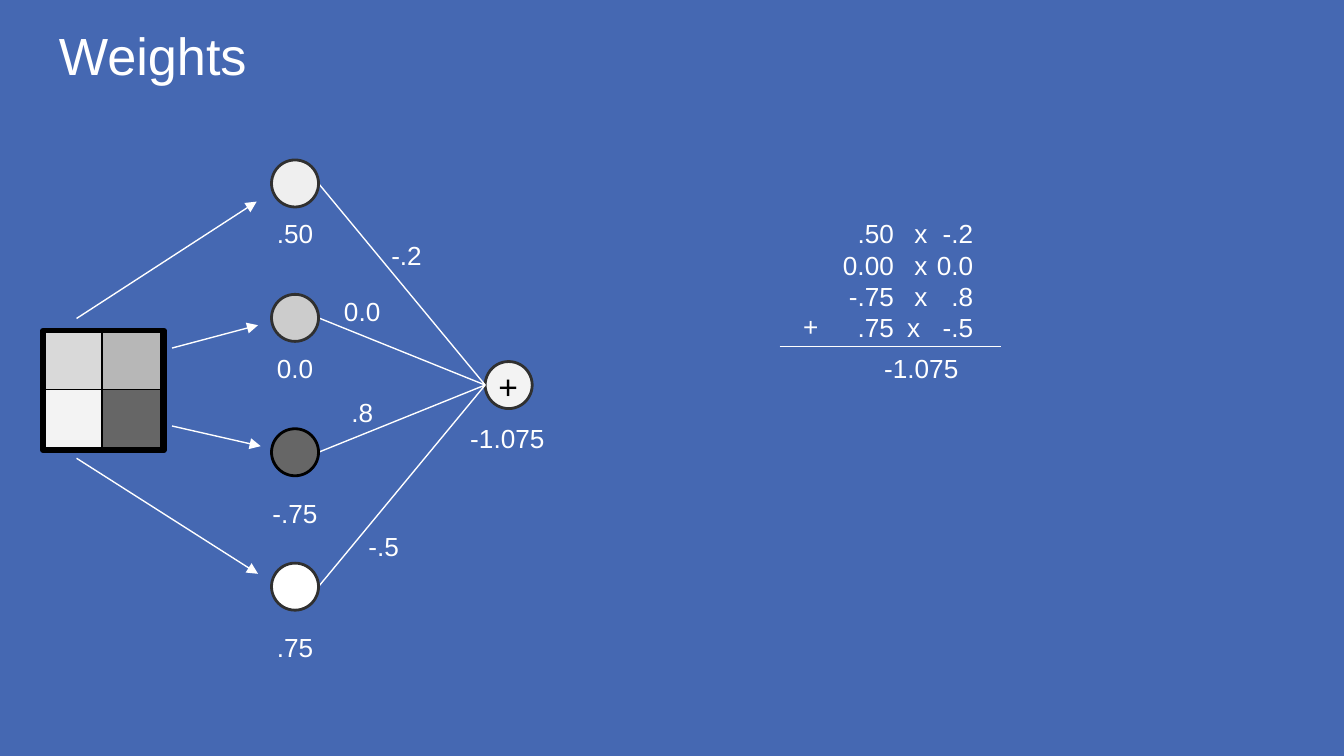
from lxml.etree import SubElement
from pptx import Presentation
from pptx.dml.color import RGBColor
from pptx.enum.shapes import MSO_CONNECTOR, MSO_SHAPE
from pptx.enum.text import PP_ALIGN
from pptx.oxml.ns import qn
from pptx.util import Inches, Pt

COLORS = {
    "background": "4568B2", "white": "FFFFFF", "black": "000000",
    "outline": "303030", "sum": "F3F3F3",
}
PIXELS = [["D9D9D9", "B7B7B7"], ["F3F3F3", "666666"]]
NODES = [
    ("EFEFEF", "outline", ".50", 1.52),
    ("CCCCCC", "outline", "0.0", 2.52),
    ("666666", "black", "-.75", 3.6),
    ("FFFFFF", "outline", ".75", 4.6),
]
WEIGHTS = [
    ("-.2", 2.63, 1.68), ("0.0", 2.3, 2.1), (".8", 2.3, 2.85), ("-.5", 2.46, 3.85),
]
ARROWS = [
    ((0.57, 2.37), (1.91, 1.5)), ((1.28, 2.59), (1.92, 2.42)),
    ((1.28, 3.17), (1.94, 3.32)), ((0.57, 3.41), (1.92, 4.27)),
]
TOTAL = "-1.075"
COLUMNS = [
    (5.52, [".50", "0.00", "-.75", " .75"]),
    (6.11, ["-.2", "0.0", ".8", "-.5"]),
    (5.77, ["x", "x", "x", "x "]),
]
GRID_LEFT, GRID_TOP, PIXEL = 0.32, 2.46, 0.44
NODE_LEFT, NODE_TOP, NODE_STEP, DIAMETER = 2.02, 1.19, 1.0, 0.35
SUM_LEFT, SUM_TOP = 3.61, 2.69
LABEL_WIDTH, LABEL_HEIGHT = 0.79, 0.49
COLUMN_WIDTH, COLUMN_TOP = 1.23, 1.52


def color(name):
    return RGBColor.from_string(COLORS.get(name, name))


def add_figure(page, kind, left, top, width, height, fill, line, weight):
    shape = page.shapes.add_shape(
        kind, Inches(left), Inches(top), Inches(width), Inches(height))
    shape.shadow.inherit = False
    if fill:
        shape.fill.solid()
        shape.fill.fore_color.rgb = color(fill)
    else:
        shape.fill.background()
    shape.line.color.rgb = color(line)
    shape.line.width = Pt(weight)


def add_line(page, start, end, arrow=False):
    line = page.shapes.add_connector(
        MSO_CONNECTOR.STRAIGHT, *[Inches(value) for value in start + end])
    line.line.color.rgb = color("white")
    line.line.width = Pt(0.75)
    if arrow:
        SubElement(line.line._get_or_add_ln(), qn("a:tailEnd"), type="triangle")
    SubElement(line._element.spPr, qn("a:effectLst"))


def add_text(page, lines, left, top, width=LABEL_WIDTH, height=LABEL_HEIGHT,
             size=14, ink="white", align=PP_ALIGN.CENTER):
    box = page.shapes.add_textbox(
        Inches(left), Inches(top), Inches(width), Inches(height))
    frame = box.text_frame
    frame.word_wrap = True
    frame.margin_left = frame.margin_right = Inches(0.1)
    frame.margin_top = frame.margin_bottom = Inches(0.1)
    frame.text = "\n".join(lines)
    for paragraph in frame.paragraphs:
        paragraph.alignment = align
        for span in paragraph.runs:
            span.font.name = "Arial"
            span.font.size = Pt(size)
            span.font.color.rgb = color(ink)
    return box


def add_plus_bullet(paragraph):
    properties = paragraph._p.get_or_add_pPr()
    properties.set("marL", str(Inches(0.5)))
    properties.set("indent", str(-Inches(0.35)))
    bullet_color = SubElement(properties, qn("a:buClr"))
    SubElement(bullet_color, qn("a:srgbClr"), val=COLORS["white"])
    SubElement(properties, qn("a:buSzPts"), val="1400")
    SubElement(properties, qn("a:buFont"), typeface="Arial")
    SubElement(properties, qn("a:buChar"), char="+")


def add_network(page):
    for row, fills in enumerate(PIXELS):
        for column, fill in enumerate(fills):
            add_figure(page, MSO_SHAPE.RECTANGLE, GRID_LEFT + column * PIXEL,
                       GRID_TOP + row * PIXEL, PIXEL, PIXEL, fill, "black", 0.75)
    add_figure(page, MSO_SHAPE.RECTANGLE, GRID_LEFT, GRID_TOP, 0.9, 0.89,
               None, "black", 3)
    for start, end in ARROWS:
        add_line(page, start, end, arrow=True)

    radius = DIAMETER / 2
    add_figure(page, MSO_SHAPE.OVAL, SUM_LEFT, SUM_TOP, DIAMETER, DIAMETER,
               "sum", "outline", 1.5)
    for index, (fill, line, value, label_top) in enumerate(NODES):
        top = NODE_TOP + index * NODE_STEP
        add_line(page, (NODE_LEFT + DIAMETER, top + radius),
                 (SUM_LEFT, SUM_TOP + radius))
        add_figure(page, MSO_SHAPE.OVAL, NODE_LEFT, top, DIAMETER, DIAMETER,
                   fill, line, 1.5)
        add_text(page, [value], NODE_LEFT + radius - LABEL_WIDTH / 2, label_top)
    for weight, left, top in WEIGHTS:
        add_text(page, [weight], left, top)
    add_text(page, ["+"], SUM_LEFT, 2.62, DIAMETER, 0.5, 18, "black", PP_ALIGN.LEFT)
    add_text(page, [TOTAL], 3.38, 3.04)


def add_calculation(page):
    boxes = [
        add_text(page, lines, left, COLUMN_TOP, COLUMN_WIDTH, align=PP_ALIGN.RIGHT)
        for left, lines in COLUMNS
    ]
    add_plus_bullet(boxes[0].text_frame.paragraphs[-1])
    add_line(page, (5.8, 2.58), (7.45, 2.58))
    add_text(page, [TOTAL], 6.46, 2.52)


def main():
    deck = Presentation()
    deck.slide_width = Inches(10)
    deck.slide_height = deck.slide_width * 9 // 16
    page = deck.slides.add_slide(deck.slide_layouts[6])
    page.background.fill.solid()
    page.background.fill.fore_color.rgb = color("background")
    add_text(page, ["Weights"], 0.34, 0.07, 9.32, 0.63, 28, align=PP_ALIGN.LEFT)
    add_network(page)
    add_calculation(page)
    deck.save("out.pptx")


if __name__ == "__main__":
    main()
